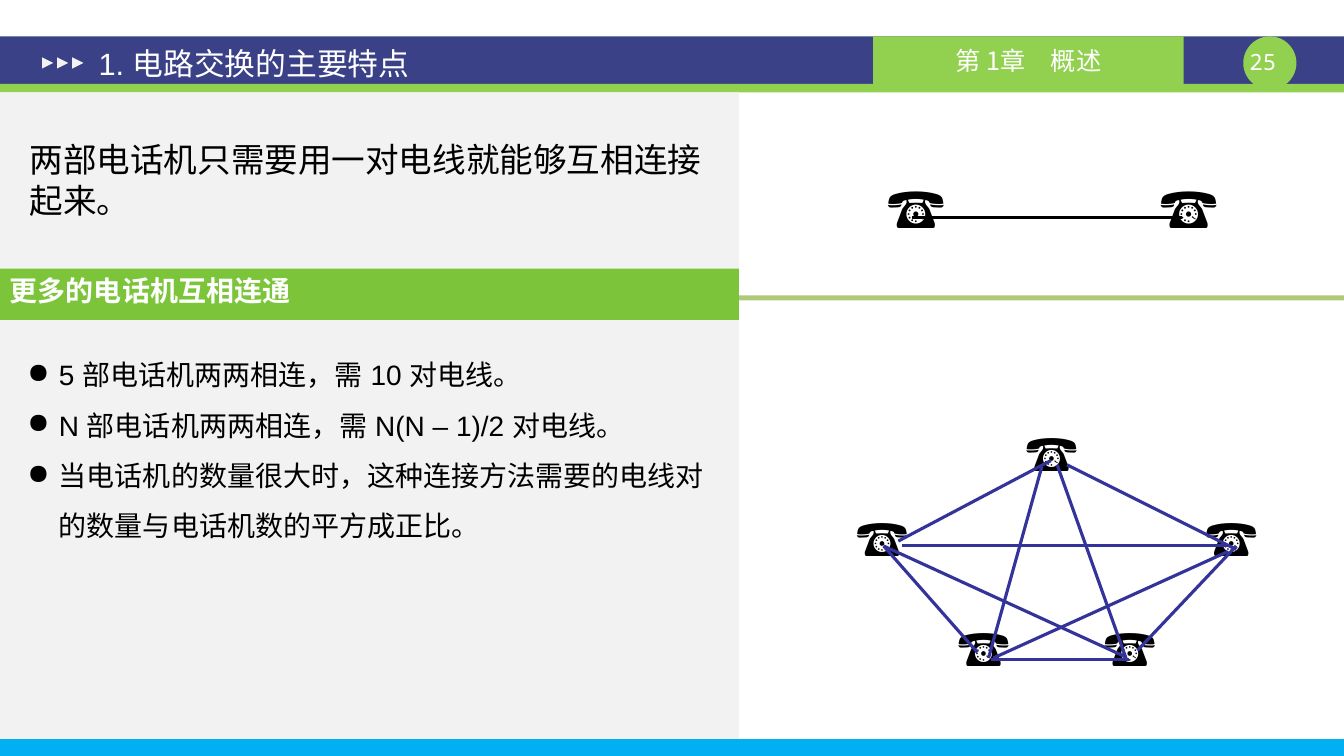
from dataclasses import dataclass

from lxml import etree
from pptx import Presentation
from pptx import util as u
from pptx.dml.color import RGBColor
from pptx.enum import shapes, text
from pptx.oxml.ns import qn

WIDTH, HEIGHT = 960.5, 540
PANEL_WIDTH = 528


@dataclass(frozen=True)
class Theme:
    navy: str = "3A4187"
    lime: str = "92D050"
    heading_green: str = "7CC43A"
    olive: str = "9BBB59"
    sky: str = "00B0F0"
    grey: str = "F2F2F2"
    wire: str = "333399"
    black: str = "000000"
    white: str = "FFFFFF"
    body_font: str = "Arial"
    chapter_font: str = "Noto Sans CJK SC"
    number_font: str = "Noto Sans Mono"
    phone_font: str = "Times New Roman"
    number_size: int = 16
    chapter_size: int = 18
    body_size: int = 20
    title_size: int = 22
    statement_size: int = 24
    small_phone: int = 36
    large_phone: int = 40
    line_width: float = 2.25


class SlideBuilder:
    def __init__(self, slide, theme):
        self.slide = slide
        self.theme = theme

    def block(self, box, color, kind=shapes.MSO_SHAPE.RECTANGLE, rotation=0, alpha=None):
        shape = self.slide.shapes.add_shape(kind, *map(u.Pt, box))
        shape.shadow.inherit = False
        shape.line.fill.background()
        shape.fill.solid()
        shape.fill.fore_color.rgb = RGBColor.from_string(color)
        shape.rotation = rotation
        if alpha is not None:
            color_element = shape.fill._xPr.find(qn("a:solidFill"))[0]
            etree.SubElement(color_element, qn("a:alpha"), val=str(alpha * 1000))
        return shape

    def fill_text(self, shape, lines, size, color, font=None, bold=False, bullet=False,
                  align=text.PP_ALIGN.LEFT, spacing=None, **frame_format):
        """Fill a shape with paragraphs; frame_format holds text frame attributes."""
        frame = shape.text_frame
        frame_values = {"word_wrap": True, "vertical_anchor": text.MSO_ANCHOR.TOP}
        for name, value in (frame_values | frame_format).items():
            setattr(frame, name, value)
        font = font or self.theme.body_font
        run_format = {"size": u.Pt(size), "bold": bold, "name": font}
        for index, line in enumerate(lines):
            paragraph = frame.paragraphs[0] if index == 0 else frame.add_paragraph()
            paragraph.alignment = align
            paragraph.line_spacing = spacing
            if bullet:
                self.add_bullet(paragraph)
            run = paragraph.add_run()
            run.text = line
            for name, value in run_format.items():
                setattr(run.font, name, value)
            run.font.color.rgb = RGBColor.from_string(color)
            etree.SubElement(run.font._element, qn("a:ea"), typeface=font)

    def add_bullet(self, paragraph):
        properties = paragraph._p.get_or_add_pPr()
        indent = u.Pt(22.5)
        properties.set("marL", str(indent))
        properties.set("indent", str(-indent))
        etree.SubElement(properties, qn("a:buChar"), char="●")

    def text_box(self, box, lines, size, color, **text_format):
        shape = self.slide.shapes.add_textbox(*map(u.Pt, box))
        self.fill_text(shape, lines, size, color, **text_format)

    def phone(self, left, top, size):
        box = (left, top, size * 1.2 + 19.5, size * 1.2 + 7)
        self.text_box(box, ["☎"], size, self.theme.black,
                      font=self.theme.phone_font, word_wrap=False)

    def wire(self, start, end, color):
        connector = self.slide.shapes.add_connector(
            shapes.MSO_CONNECTOR.STRAIGHT, *map(u.Pt, start + end))
        connector.line.color.rgb = RGBColor.from_string(color)
        connector.line.width = u.Pt(self.theme.line_width)
        etree.SubElement(connector._element.spPr, qn("a:effectLst"))


def draw_header(builder):
    theme = builder.theme
    centered = {"align": text.PP_ALIGN.CENTER}
    middle = {"vertical_anchor": text.MSO_ANCHOR.MIDDLE}
    no_margins = {f"margin_{side}": 0 for side in ("left", "right", "top", "bottom")}
    builder.block((0, 26, WIDTH, 34), theme.navy)
    builder.block((0, 60, WIDTH, 6), theme.lime)
    builder.block((888.5, 26, 38, 38), theme.lime, shapes.MSO_SHAPE.OVAL)
    builder.text_box((883.5, 34.5, 38, 19.5), ["25"], theme.number_size, theme.white,
                     font=theme.number_font, **centered, **no_margins)
    chapter = builder.block((624, 26, 222, 34), theme.lime)
    builder.fill_text(chapter, ["第 1章　概述"], theme.chapter_size, theme.white,
                      font=theme.chapter_font, **centered, **middle)
    for index in range(3):
        builder.block((30 + 10.8 * index, 41, 8, 8), theme.grey,
                      shapes.MSO_SHAPE.ISOSCELES_TRIANGLE, rotation=90)
    builder.text_box((61, 29, 518, 32), ["1. 电路交换的主要特点"], theme.title_size,
                     theme.white, margin_left=u.Pt(9.5), margin_right=u.Pt(9.5),
                     margin_top=u.Pt(5), margin_bottom=u.Pt(5), **middle)


def draw_panel(builder):
    theme = builder.theme
    builder.block((0, 66, PANEL_WIDTH, 462), theme.grey)
    builder.text_box((14, 96, 516, 65.5), ["两部电话机只需要用一对电线就能够互相连接起来。"],
                     theme.statement_size, theme.black)
    builder.block((0, 528, WIDTH, 12), theme.sky)
    builder.block((0, 211, WIDTH, 3.6), theme.olive, alpha=80)
    heading = builder.block((0, 192, PANEL_WIDTH, 36.5), theme.heading_green)
    builder.fill_text(heading, ["更多的电话机互相连通"], theme.body_size, theme.white, bold=True)
    points = [
        "5 部电话机两两相连，需 10 对电线。",
        "N 部电话机两两相连，需 N(N – 1)/2 对电线。",
        "当电话机的数量很大时，这种连接方法需要的电线对的数量与电话机数的平方成正比。",
    ]
    builder.text_box((12.5, 240, 516, 152.5), points, theme.body_size, theme.black,
                     bullet=True, spacing=1.5)


def draw_phone_networks(builder):
    theme = builder.theme
    for left in (822, 627):
        builder.phone(left, 120, theme.large_phone)
    builder.wire((651.5, 155.5), (844.5, 155.5), theme.black)

    for left, top in [(726, 297.5), (605, 358), (677.5, 436.5), (854.5, 358), (782, 436.5)]:
        builder.phone(left, top, theme.small_phone)
    wires = [
        ((642, 386.5), (751, 329)), ((762.5, 332), (883.5, 392.5)),
        ((631.5, 390), (698.5, 466)), ((708, 471), (806.5, 471)),
        ((813, 464.5), (883.5, 390)), ((755.5, 332), (805, 471)),
        ((744.5, 333.5), (706.5, 470)), ((644.5, 389.5), (879, 389.5)),
        ((631.5, 390), (805, 469.5)), ((710, 470), (877.5, 394)),
    ]
    for start, end in wires:
        builder.wire(start, end, theme.wire)


def main():
    presentation = Presentation()
    presentation.slide_width = u.Pt(WIDTH)
    presentation.slide_height = u.Pt(HEIGHT)
    slide = presentation.slides.add_slide(presentation.slide_layouts[6])
    builder = SlideBuilder(slide, Theme())
    draw_header(builder)
    draw_panel(builder)
    draw_phone_networks(builder)
    presentation.save("out.pptx")


if __name__ == "__main__":
    main()
